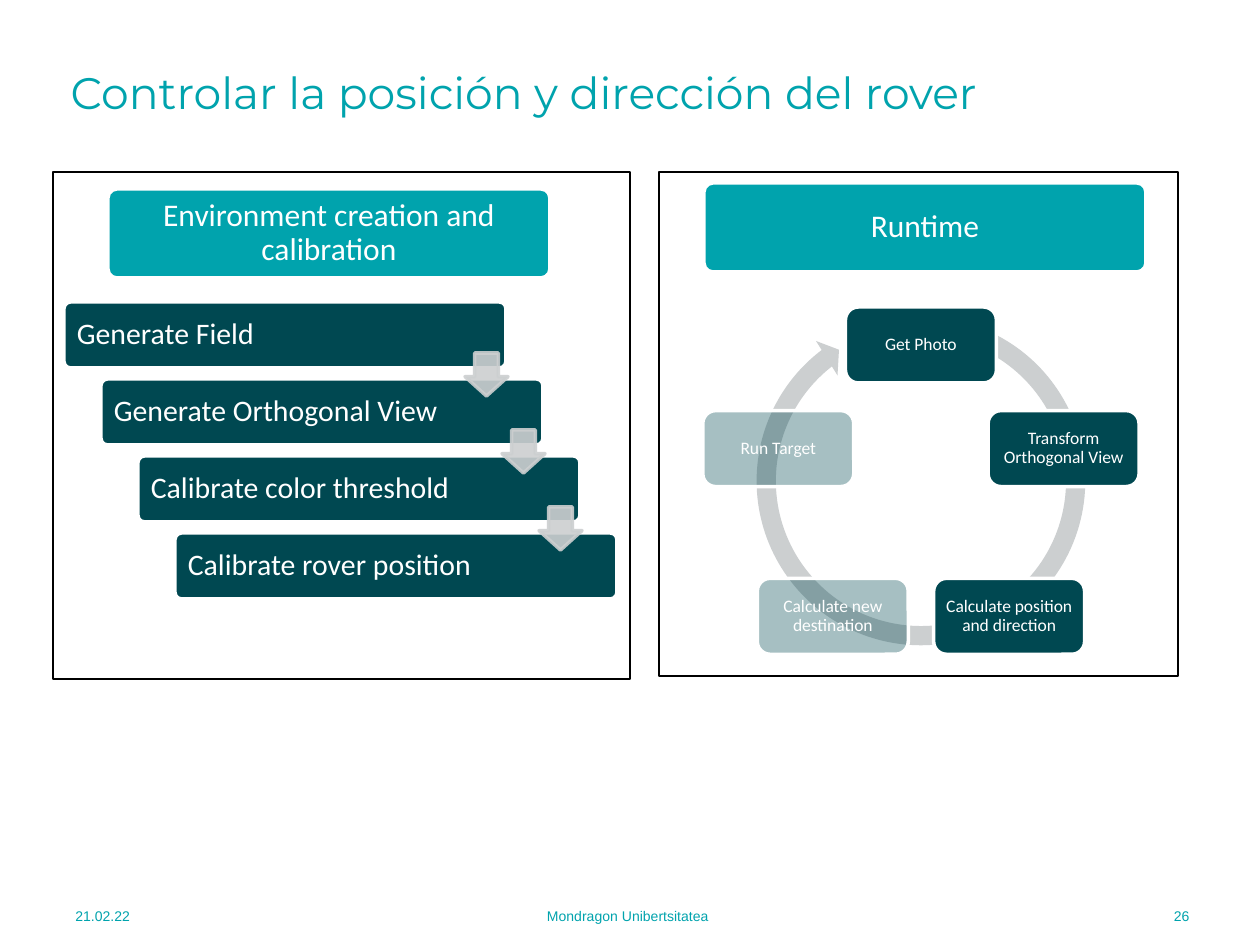
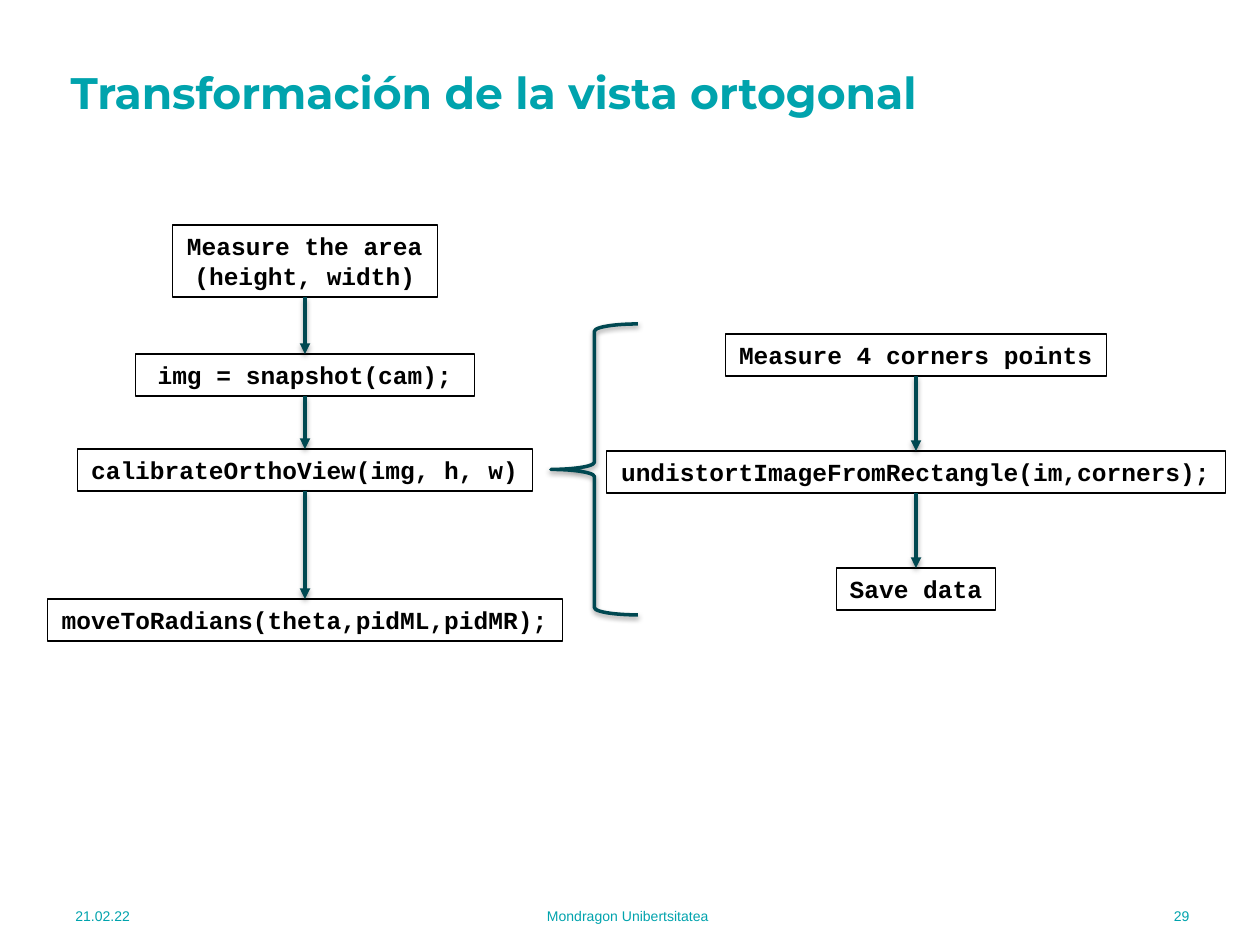
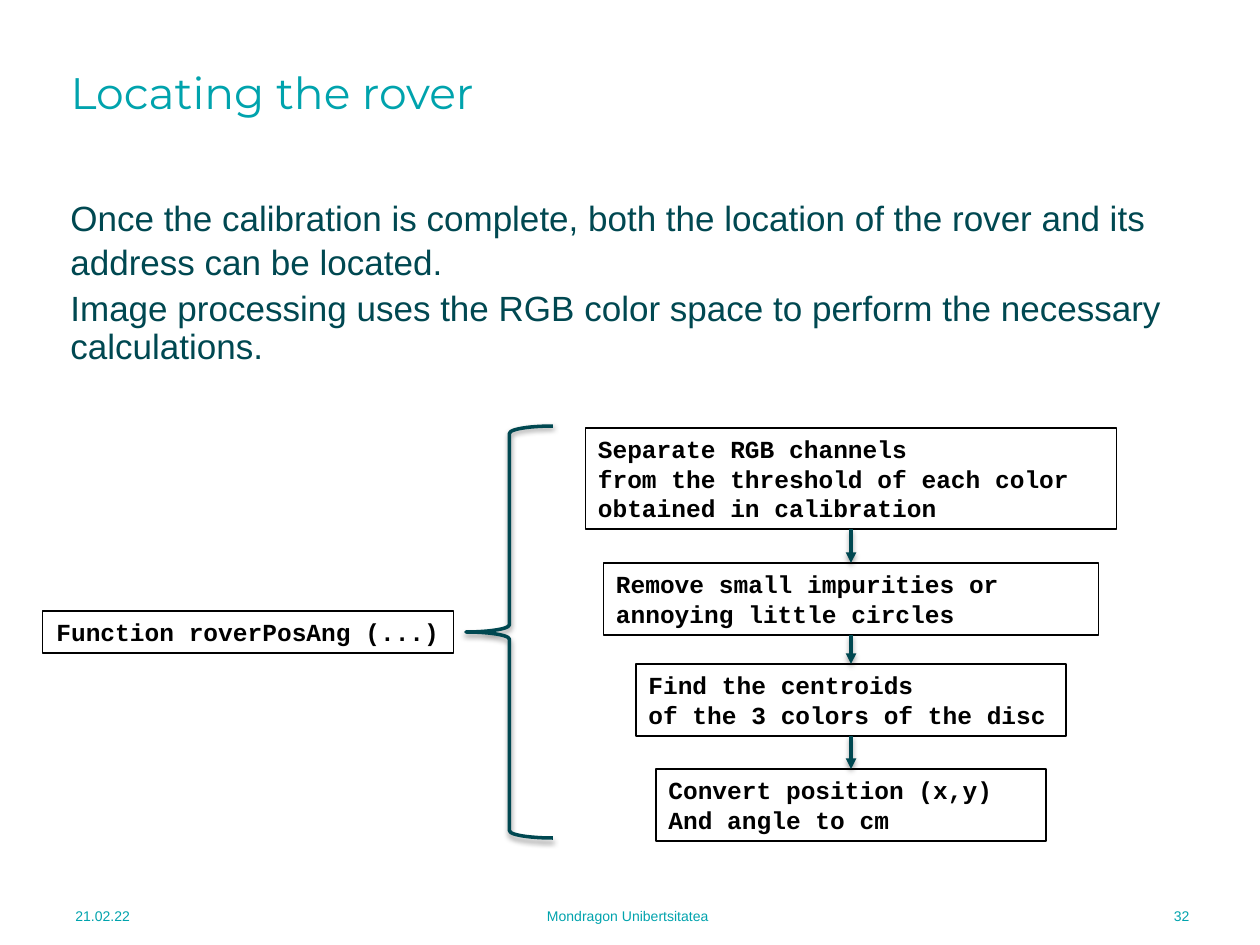
from math import cos, radians, sin

from lxml import etree
from pptx import Presentation
from pptx.dml.color import RGBColor
from pptx.enum.shapes import MSO_CONNECTOR, MSO_SHAPE as SHAPE
from pptx.enum.text import MSO_ANCHOR as ANCHOR, MSO_AUTO_SIZE, PP_ALIGN as ALIGN
from pptx.oxml.ns import qn
from pptx.util import Pt

PX = 914400 / 126
TEAL = RGBColor(0x00, 0xA3, 0xAD)
DARK = RGBColor(0x00, 0x48, 0x51)
GREY = RGBColor(0xCC, 0xCF, 0xD0)
WHITE = RGBColor(0xFF, 0xFF, 0xFF)
BLACK = RGBColor(0x00, 0x00, 0x00)

DATE = "21.02.22"
UNIVERSITY = "Mondragon Unibertsitatea"

HEADERS = [("Environment creation and calibration", 108, 189), ("Runtime", 704, 183)]
PANELS = [(659, 172, 519, 504), (53, 172, 577, 507)]
CALIBRATION_STEPS = [
    "Generate Field",
    "Generate Orthogonal View",
    "Calibrate color threshold",
    "Calibrate rover position",
]
STEP_SHIFT = (37, 77)
RUNTIME_CYCLE = [
    ("Get Photo", 100),
    ("Transform Orthogonal View", 100),
    ("Calculate position and direction", 100),
    ("Calculate new destination", 35),
    ("Run Target", 35),
]
CYCLE_CENTER = (921, 495)
CYCLE_RADIUS = 150

MAIN_FLOW = [
    ("Measure the area\n(height, width)", 225, 265),
    ("img = snapshot(cam);", 354, 339),
    ("calibrateOrthoView(img, h, w)", 449, 455),
    ("moveToRadians(theta,pidML,pidMR);", 599, 515),
]
ORTHO_FLOW = [
    ("Measure 4 corners points", 334, 381),
    ("undistortImageFromRectangle(im,corners);", 451, 619),
    ("Save data", 568, 159),
]

ROVER_TEXT = [
    ("Once the calibration is complete, both the location of the rover "
     "and its address can be located.", 1.05, 0),
    ("Image processing uses the RGB color space to perform the necessary "
     "calculations.", 0.9, 5),
]
ROVER_FUNCTION = [("Function roverPosAng (...)", 611, 411)]
LOCATE_FLOW = [
    ("Separate RGB channels\nfrom the threshold of each color\nobtained in calibration", 428, 531),
    ("Remove small impurities or\nannoying little circles", 563, 495),
    ("Find the centroids\nof the 3 colors of the disc", 664, 430),
    ("Convert position (x,y)\nAnd angle to cm", 769, 390),
]


def px(*lengths):
    return [round(length * PX) for length in lengths]


def write(shape, text, size, color, name, align=ALIGN.LEFT, anchor=ANCHOR.MIDDLE,
          bold=False, spacing=1.0):
    frame = shape.text_frame
    frame.text = text
    frame.word_wrap = True
    frame.auto_size = MSO_AUTO_SIZE.NONE
    frame.vertical_anchor = anchor
    for paragraph in frame.paragraphs:
        paragraph.alignment = align
        paragraph.line_spacing = spacing
        font = paragraph.font
        font.size, font.name, font.bold = Pt(size), name, bold
        font.color.rgb = color
    return frame


def set_alpha(fill_parent, percent):
    color = fill_parent.find(qn("a:solidFill"))[0]
    etree.SubElement(color, qn("a:alpha")).set("val", str(percent * 1000))


def add_shape(slide, kind, box, fill=None, line=None, width=2, adjustments=(), alpha=100):
    shape = slide.shapes.add_shape(kind, *px(*box))
    for index, value in enumerate(adjustments):
        shape.adjustments[index] = value
    if fill is None:
        shape.fill.background()
    else:
        shape.fill.solid()
        shape.fill.fore_color.rgb = fill
        if alpha < 100:
            set_alpha(shape._element.spPr, alpha)
    if line is None:
        shape.line.fill.background()
    else:
        shape.line.color.rgb = line
        shape.line.width = Pt(width)
    shape.shadow.inherit = False
    return shape


def add_node(slide, box, text, size, fill, align=ALIGN.CENTER, inset=7, corner=0.1, alpha=100):
    node = add_shape(slide, SHAPE.ROUNDED_RECTANGLE, box, fill, WHITE,
                     adjustments=[corner], alpha=alpha)
    frame = write(node, text, size, WHITE, "Calibri", align, spacing=0.9)
    frame.margin_left = frame.margin_right = px(inset)[0]


def drop_shadow(effects):
    shadow = etree.SubElement(effects, qn("a:outerShdw"), blurRad="40000", dist="20000",
                              dir="5400000", rotWithShape="0")
    color = etree.SubElement(shadow, qn("a:srgbClr"), val=str(BLACK))
    etree.SubElement(color, qn("a:alpha"), val="38000")


def add_brace(slide, *box):
    brace = add_shape(slide, SHAPE.LEFT_BRACE, box, line=DARK)
    drop_shadow(brace._element.spPr.find(qn("a:effectLst")))


def add_arrow(slide, source, target):
    arrow = slide.shapes.add_connector(MSO_CONNECTOR.STRAIGHT, 0, 0, 0, 0)
    arrow.begin_connect(source, 2)
    arrow.end_connect(target, 0)
    arrow.line.color.rgb = DARK
    arrow.line.width = Pt(2)
    etree.SubElement(arrow.line._get_or_add_ln(), qn("a:tailEnd"), type="triangle")
    drop_shadow(etree.SubElement(arrow._element.spPr, qn("a:effectLst")))


def add_flow(slide, center, steps, align=ALIGN.CENTER):
    previous = None
    for text, top, width in steps:
        height = 13 + 59 * len(text.split("\n")) // 2
        box = slide.shapes.add_textbox(*px(center - width / 2, top, width, height))
        box.line.color.rgb = BLACK
        box.line.width = Pt(0.75)
        write(box, text, 14, BLACK, "Courier New", align, ANCHOR.TOP, bold=True)
        if previous is not None:
            add_arrow(slide, previous, box)
        previous = box


def add_slide(presentation, title, number, bold=False):
    slide = presentation.slides.add_slide(presentation.slide_layouts[5])
    heading = slide.shapes.title
    heading.left, heading.top, heading.width, heading.height = px(58, 66, 1056, 59)
    write(heading, title, 25.2, TEAL, "Montserrat", bold=bold, spacing=0.9)
    footer = [
        (DATE, 63, 163, ALIGN.LEFT),
        (UNIVERSITY, 299, 658, ALIGN.CENTER),
        (str(number), 1041, 161, ALIGN.RIGHT),
    ]
    for text, left, width, align in footer:
        box = slide.shapes.add_textbox(*px(left, 891, width, 50))
        write(box, text, 8, TEAL, "Arial", align)
    return slide


def build_control(presentation):
    slide = add_slide(presentation, "Controlar la posición y dirección del rover", 26)
    shift_x, shift_y = STEP_SHIFT
    for index, step in enumerate(CALIBRATION_STEPS):
        box = (64 + index * shift_x, 302 + index * shift_y, 442, 66)
        add_node(slide, box, step, 17, DARK, ALIGN.LEFT, inset=11)
    for index in range(len(CALIBRATION_STEPS) - 1):
        box = (465 + index * shift_x, 353 + index * shift_y, 43, 43)
        arrow = add_shape(slide, SHAPE.DOWN_ARROW, box, GREY, GREY,
                          adjustments=[0.55, 0.45], alpha=90)
        set_alpha(arrow.line._get_or_add_ln(), 90)

    add_shape(slide, SHAPE.CIRCULAR_ARROW, (746, 306, 350, 350), GREY,
              adjustments=[0.055, 3.307, 139.507, 172.805, 0.058])
    center_x, center_y = CYCLE_CENTER
    for index, (text, alpha) in enumerate(RUNTIME_CYCLE):
        angle = radians(index * 360 / len(RUNTIME_CYCLE))
        left = center_x + CYCLE_RADIUS * sin(angle) - 151 / 2
        top = center_y - CYCLE_RADIUS * cos(angle) - 76 / 2
        add_node(slide, (left, top, 151, 76), text, 10, DARK, corner=0.17, alpha=alpha)

    for text, left, top in HEADERS:
        add_node(slide, (left, top, 442, 89), text, 18, TEAL, inset=11)
    for panel in PANELS:
        add_shape(slide, SHAPE.RECTANGLE, panel, line=BLACK, width=0.75)


def build_ortho(presentation):
    slide = add_slide(presentation, "Transformación de la vista ortogonal", 29, bold=True)
    add_flow(slide, 305, MAIN_FLOW)
    add_brace(slide, 551, 324, 87, 291)
    add_flow(slide, 916, ORTHO_FLOW)


def build_locating(presentation):
    slide = add_slide(presentation, "Locating the rover", 32)
    body = slide.shapes.add_textbox(*px(58, 188, 1131, 190))
    text = "\n".join(sentence for sentence, _, _ in ROVER_TEXT)
    frame = write(body, text, 20, DARK, "Arial", anchor=ANCHOR.TOP)
    for paragraph, (_, spacing, before) in zip(frame.paragraphs, ROVER_TEXT):
        paragraph.line_spacing = spacing
        paragraph.space_before = Pt(before)
    add_flow(slide, 248, ROVER_FUNCTION)
    add_brace(slide, 466, 426, 87, 412)
    add_flow(slide, 851, LOCATE_FLOW, ALIGN.LEFT)


def main():
    presentation = Presentation()
    presentation.slide_width, presentation.slide_height = px(1260, 945)
    build_control(presentation)
    build_ortho(presentation)
    build_locating(presentation)
    presentation.save("out.pptx")


if __name__ == "__main__":
    main()
